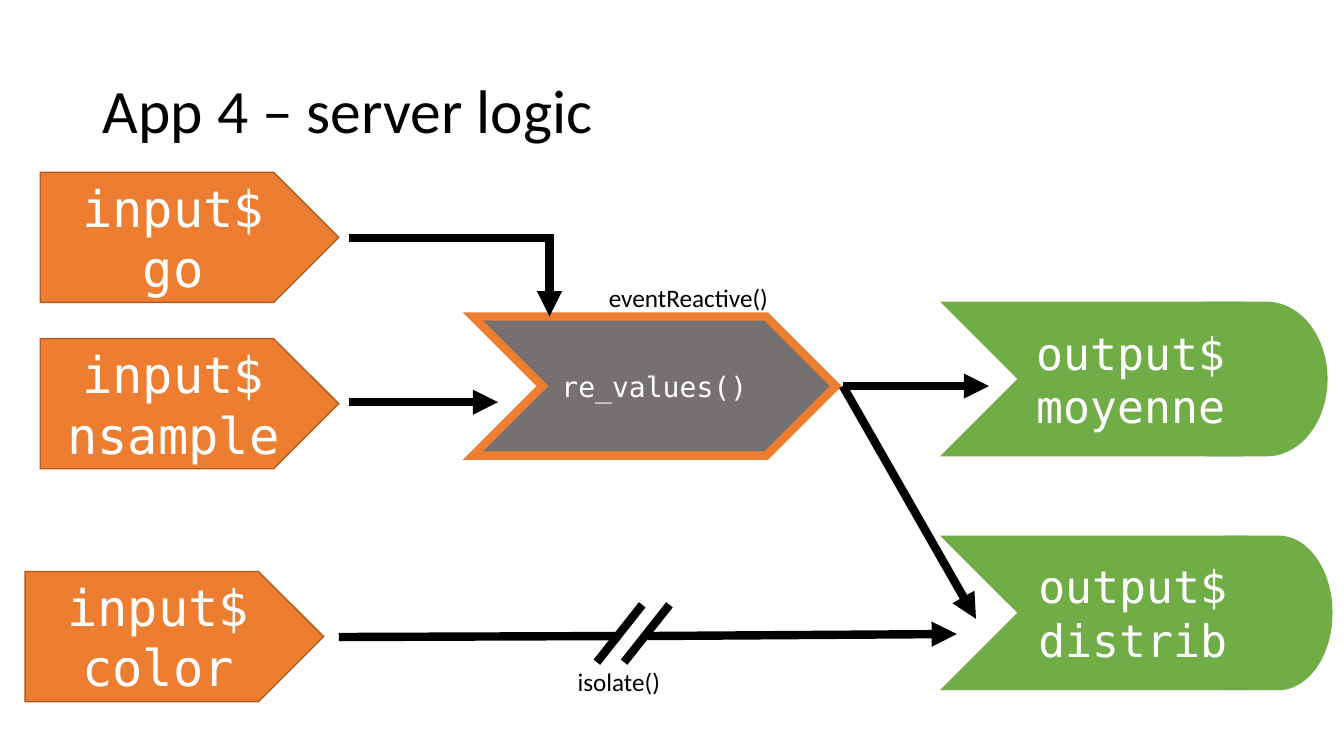
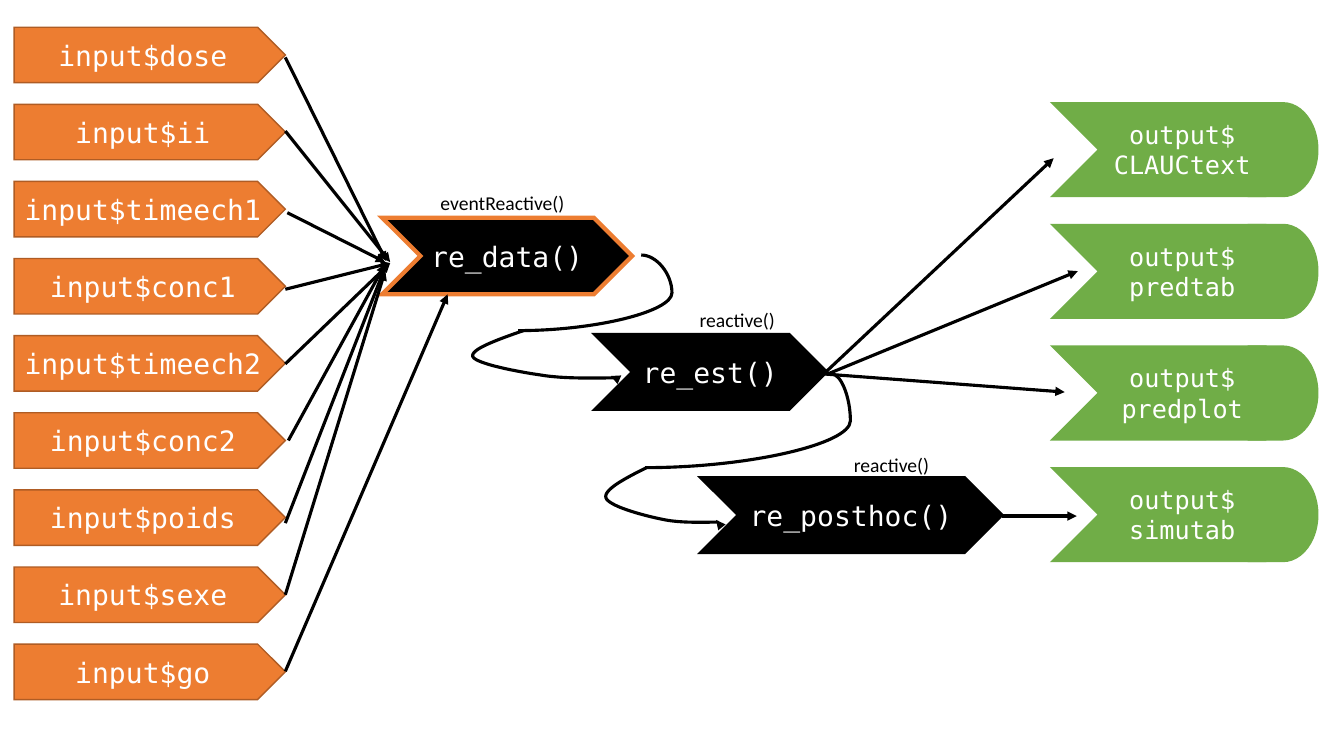
from lxml.etree import SubElement
from pptx import Presentation
from pptx.dml.color import RGBColor
from pptx.enum.shapes import MSO_CONNECTOR as LINK, MSO_SHAPE as SHAPE
from pptx.enum.text import MSO_ANCHOR as ANCHOR, MSO_AUTO_SIZE as FIT, PP_ALIGN as ALIGN
from pptx.oxml.ns import qn
from pptx.util import Inches, Pt

ORANGE = RGBColor(0xED, 0x7D, 0x31)
RUST = RGBColor(0xAF, 0x5C, 0x24)
GREEN = RGBColor(0x70, 0xAD, 0x47)
GREY = RGBColor(0x76, 0x71, 0x71)
BLACK = RGBColor(0, 0, 0)
WHITE = RGBColor(0xFF, 0xFF, 0xFF)
SANS, MONO = "Calibri", "DejaVu Sans Mono"
TITLE_ONLY, BLANK = 5, 6

# Loop outline as fractions of its box: a start, then three points per curve
LOOP = [(0.35, 0), (0.17, 0.19), (-0.02, 0.4), (0, 0.55),
        (0.02, 0.7), (0.31, 0.87), (0.47, 0.94),
        (0.63, 1.02), (0.82, 1), (0.95, 1),
        (1.03, 1), (0.99, 0.98), (0.95, 0.96)]


def write(frame, text, font=SANS, size=18, color=BLACK, align=ALIGN.LEFT, spacing=None):
    """Fill a text frame, one paragraph for each line of text."""
    frame.text = text
    for para in frame.paragraphs:
        para.alignment = align
        para.line_spacing = spacing
        for span in para.runs:
            span.font.name, span.font.size = font, Pt(size)
            span.font.color.rgb = color


def outline(shape, color, width, arrow=False):
    """Give a shape or connector a mitred line, with an arrowhead if asked."""
    shape.line.color.rgb = color
    shape.line.width = Pt(width)
    line = shape.element.spPr.find(qn("a:ln"))
    SubElement(line, qn("a:miter"), lim="800000")
    if arrow:
        SubElement(line, qn("a:tailEnd"), type="triangle")


def bezier(points, steps=16):
    """Points along a chain of cubic curves, after its start."""
    for first in range(0, len(points) - 1, 3):
        corners = points[first:first + 4]
        for step in range(1, steps + 1):
            t = step / steps
            weights = ((1 - t) ** 3, 3 * t * (1 - t) ** 2, 3 * t * t * (1 - t), t ** 3)
            yield tuple(sum(w * c[axis] for w, c in zip(weights, corners)) for axis in (0, 1))


class Diagram:
    def __init__(self):
        self.deck = Presentation()
        self.deck.slide_width, self.deck.slide_height = Inches(13.33), Inches(7.5)

    def new_page(self, layout, text_size, line_width):
        self.page = self.deck.slides.add_slide(self.deck.slide_layouts[layout])
        self.text_size, self.line_width = text_size, line_width

    def title(self, text):
        box = self.page.shapes.title
        box.left, box.top, box.width, box.height = map(Inches, (0.92, 0.4, 11.5, 1.45))
        box.text_frame.vertical_anchor = ANCHOR.MIDDLE
        write(box.text_frame, text, size=44, spacing=0.9)

    def block(self, kind, at, text, fill, edge, width=1, size=None, parent=None):
        shapes = (parent or self.page).shapes
        box = shapes.add_shape(kind, *map(Inches, at))
        box.shadow.inherit = False
        box.fill.solid()
        box.fill.fore_color.rgb = fill
        outline(box, edge, width)
        if text:
            box.text_frame.word_wrap = True
            box.text_frame.vertical_anchor = ANCHOR.MIDDLE
            write(box.text_frame, text, MONO, size or self.text_size, WHITE, ALIGN.CENTER)

    def source(self, text, *at):
        self.block(SHAPE.PENTAGON, at, text, ORANGE, RUST)

    def reactive(self, text, *at, fill=BLACK, edge=BLACK, width=1):
        self.block(SHAPE.CHEVRON, at, text, fill, edge, width, size=20)

    def output(self, name, left, top, width, height, cap_left, cap_width, size):
        group = self.page.shapes.add_group_shape()
        self.block(SHAPE.FLOWCHART_DELAY, (cap_left, top, cap_width, height), "",
                   GREEN, GREEN, parent=group)
        self.block(SHAPE.CHEVRON, (left, top, width, height), "output$\n" + name,
                   GREEN, GREEN, size=size, parent=group)

    def link(self, *ends, kind=LINK.STRAIGHT, arrow=True, bend=None):
        line = self.page.shapes.add_connector(kind, *map(Inches, ends))
        outline(line, BLACK, self.line_width, arrow)
        properties = line.element.spPr
        SubElement(properties, qn("a:effectLst"))
        geometry = properties.find(qn("a:prstGeom"))
        if kind == LINK.ELBOW:
            geometry.set("prst", "bentConnector2")
        if bend is not None:
            guides = geometry.find(qn("a:avLst"))
            if guides is None:
                guides = SubElement(geometry, qn("a:avLst"))
            SubElement(guides, qn("a:gd"), name="adj1", fmla=f"val {round(bend * 100000)}")

    def loop(self, left, top, width, height):
        corners = [(Inches(left + x * width), Inches(top + y * height)) for x, y in LOOP]
        builder = self.page.shapes.build_freeform(*corners[0])
        builder.add_line_segments(list(bezier(corners)), close=False)
        curve = builder.convert_to_shape()
        curve.shadow.inherit = False
        curve.fill.background()
        outline(curve, BLACK, self.line_width, arrow=True)

    def label(self, text, *at, size):
        box = self.page.shapes.add_textbox(*map(Inches, at))
        box.text_frame.word_wrap = False
        box.text_frame.auto_size = FIT.SHAPE_TO_FIT_TEXT
        write(box.text_frame, text, size=size)


diagram = Diagram()

# Slide 1: server logic of app 4
diagram.new_page(TITLE_ONLY, text_size=36, line_width=6)
diagram.title("App 4 – server logic")
for name, left, top in (("go", 0.4, 1.71), ("nsample", 0.4, 3.36), ("color", 0.25, 5.67)):
    diagram.source("input$\n" + name, left, top, 2.96, 1.29)
diagram.reactive("re_values()", 4.69, 3.14, 3.6, 1.38, fill=GREY, edge=ORANGE, width=6)
diagram.link(3.46, 3.99, 4.94, 3.99)
diagram.link(3.46, 2.36, 5.45, 3.14, kind=LINK.ELBOW)
diagram.output("moyenne", 9.34, 3, 3.75, 1.52, 11.97, 1.19, size=32)
diagram.output("distrib", 9.34, 5.32, 3.79, 1.52, 12.15, 1.06, size=32)
for end_x, end_y in ((9.81, 3.83), (9.68, 6.14)):
    diagram.link(8.36, 3.83, end_x, end_y)

# Interrupted line
diagram.link(6.42, 6.31, 9.49, 6.29)
diagram.link(3.36, 6.32, 6.15, 6.31, arrow=False)
for slash in (5.92, 6.19):
    diagram.link(slash, 6.57, slash + 0.45, 6, arrow=False)
diagram.label("isolate()", 5.63, 6.56, 1.03, 0.4, size=18)
diagram.label("eventReactive()", 5.94, 2.75, 1.8, 0.4, size=18)

# Slide 2: full reactive graph
diagram.new_page(BLANK, text_size=20, line_width=2.25)
diagram.reactive("re_data()", 3.79, 2.16, 2.48, 0.76, edge=ORANGE, width=3)
diagram.reactive("re_est()", 5.88, 3.31, 2.33, 0.76)
diagram.reactive("re_posthoc()", 6.93, 4.73, 3.02, 0.76)

# Inputs, each with its arrow to re_data()
inputs = (
    ("dose", 2.83, 0.57, 3.83, 2.59), ("ii", 2.83, 1.3, 3.87, 2.6),
    ("timeech1", 2.85, 2.11, 3.82, 2.6), ("conc1", 2.83, 2.87, 3.87, 2.61),
    ("timeech2", 2.83, 3.61, 3.87, 2.61), ("conc2", 2.86, 4.37, 3.82, 2.62),
    ("poids", 2.83, 5.19, 3.82, 2.65), ("sexe", 2.83, 5.9, 3.82, 2.69),
    ("go", 2.83, 6.66, 4.44, 2.92),
)
for row, (name, *ends) in enumerate(inputs):
    diagram.source("input$" + name, 0.14, 0.27 + row * 0.765, 2.69, 0.55)
    diagram.link(*ends)

# Outputs and the arrows to them
for row, name in enumerate(("CLAUCtext", "predtab", "predplot", "simutab")):
    diagram.output(name, 10.43, 1.02 + row * 1.207, 2.59, 0.93, 12.38, 0.69, size=18)
for ends in ((8.17, 3.71, 10.45, 1.57), (8.21, 3.71, 10.69, 2.69),
             (8.17, 3.71, 10.56, 3.89), (9.94, 5.12, 10.68, 5.12)):
    diagram.link(*ends)

# Curved links between the reactives
diagram.link(6.36, 2.53, 5.14, 3.28, kind=LINK.CURVE, arrow=False, bend=-0.25)
diagram.link(8.25, 3.71, 6.4, 4.64, kind=LINK.CURVE, arrow=False, bend=-0.1)
diagram.loop(4.69, 3.28, 1.44, 0.47)
diagram.loop(6.01, 4.64, 1.15, 0.54)

diagram.label("eventReactive()", 4.27, 1.84, 1.45, 0.34, size=14)
for left, top in ((6.84, 3.01), (8.37, 4.44)):
    diagram.label("reactive()", left, top, 0.96, 0.34, size=14)

diagram.deck.save("out.pptx")
